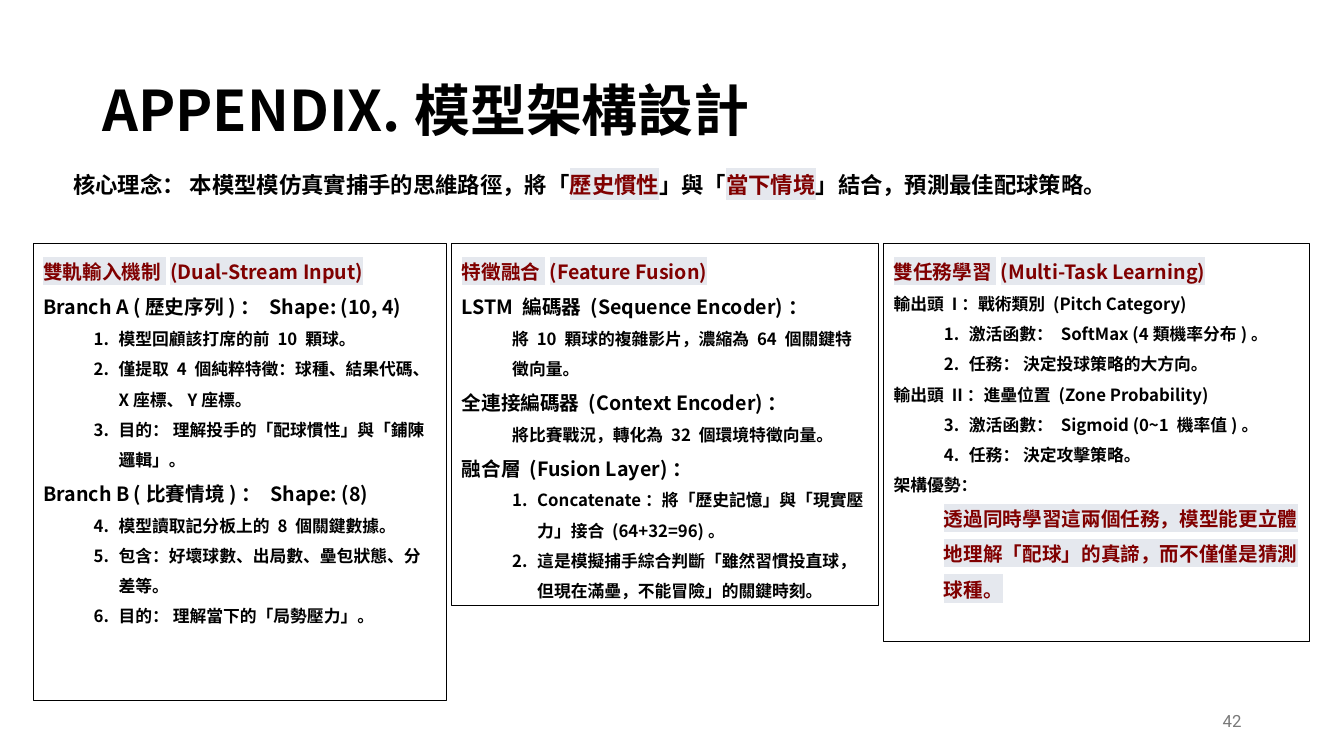
"""Builds the appendix slide on the model architecture."""
from itertools import count
from lxml import etree
from pptx import Presentation, util as u
from pptx.dml import color
from pptx.enum import shapes, text
from pptx.oxml import ns

SANS = "Noto Sans CJK SC"
TITLE = "APPENDIX.模型架構設計"
IDEA = [("core", "核心理念： 本模型模仿真實捕手的思維路徑，將「"), ("mark", "歷史慣性"),
        ("core", "」與「"), ("mark", "當下情境"), ("core", "」結合，預測最佳配球策略。")]
PAGE = "42"
CARDS = [
    (10.41, 11.52, [
        ("head", "雙軌輸入機制 (Dual-Stream Input)"),
        ("sub", "Branch A (歷史序列)： Shape: (10, 4)"),
        ("item", "模型回顧該打席的前 10 顆球。"),
        ("item", "僅提取 4 個純粹特徵：球種、結果代碼、X座標、Y座標。"),
        ("item", "目的： 理解投手的「配球慣性」與「鋪陳邏輯」。"),
        ("sub", "Branch B (比賽情境)： Shape: (8)"),
        ("item", "模型讀取記分板上的 8 個關鍵數據。"),
        ("item", "包含：好壞球數、出局數、壘包狀態、分差等。"),
        ("item", "目的： 理解當下的「局勢壓力」。")]),
    (10.74, 9.14, [
        ("head", "特徵融合 (Feature Fusion)"),
        ("sub", "LSTM 編碼器 (Sequence Encoder)："),
        ("note", "將 10 顆球的複雜影片，濃縮為 64 個關鍵特徵向量。"),
        ("sub", "全連接編碼器 (Context Encoder)："),
        ("note", "將比賽戰況，轉化為 32 個環境特徵向量。"),
        ("sub", "融合層 (Fusion Layer)："),
        ("item", "Concatenate：將「歷史記憶」與「現實壓力」接合 (64+32=96)。"),
        ("item", "這是模擬捕手綜合判斷「雖然習慣投直球，但現在滿壘，不能冒險」的關鍵時刻。")]),
    (10.74, 10.03, [
        ("head", "雙任務學習 (Multi-Task Learning)"),
        ("small", "輸出頭 I：戰術類別 (Pitch Category)"),
        ("item", "激活函數： SoftMax (4類機率分布)。"),
        ("item", "任務： 決定投球策略的大方向。"),
        ("small", "輸出頭 II：進壘位置 (Zone Probability)"),
        ("item", "激活函數： Sigmoid (0~1 機率值)。"),
        ("item", "任務： 決定攻擊策略。"),
        ("small", "架構優勢："),
        ("key", "透過同時學習這兩個任務，模型能更立體地理解「配球」的真諦，而不僅僅是猜測球種。")]),
]
BLACK, RED, GRAY, PALE = "000000", "800000", "797979", "E5E8EE"
LOOKS = {
    "title": (40, BLACK, None), "core": (16, BLACK, None), "mark": (16, RED, PALE),
    "head": (14, RED, PALE), "sub": (14, BLACK, None), "small": (12, BLACK, None),
    "item": (12, BLACK, None), "note": (12, BLACK, None), "key": (14, RED, PALE),
    "page": (12, GRAY, None),
}
DENTS = {"item": (1.9, -0.63), "note": (1.27, 0), "key": (1.27, 0)}
LEFT, TOP, GAP = 0.84, 6.13, 0.14


def rgb(code):
    """Turns a hex string into a colour."""
    return color.RGBColor.from_string(code)


def put(thing, vals):
    """Sets each named value on an object."""
    for name, val in vals.items():
        setattr(thing, name, val)


def add_run(para, kind, words):
    """Adds one run in the look of its kind."""
    size, ink, back = LOOKS[kind]
    face = "Roboto" if kind == "page" else SANS
    run = para.add_run()
    run.text = words
    put(run.font, {"size": u.Pt(size), "bold": kind != "page", "name": face})
    run.font.color.rgb = rgb(ink)
    props = run.font._element
    east = etree.SubElement(props, ns.qn("a:ea"))
    east.set("typeface", face)
    if back:
        glow = etree.Element(ns.qn("a:highlight"))
        etree.SubElement(glow, ns.qn("a:srgbClr")).set("val", back)
        props.find(ns.qn("a:solidFill")).addnext(glow)


def dent(para, kind, start):
    """Indents a paragraph and numbers it when it is an item."""
    left, hang = DENTS[kind]
    para.level = 1
    props = para._p.get_or_add_pPr()
    props.set("marL", str(u.Cm(left)))
    props.set("indent", str(u.Cm(hang)))
    if kind == "item":
        num = etree.SubElement(props, ns.qn("a:buAutoNum"))
        num.set("type", "arabicPeriod")
        num.set("startAt", str(start))


def add_text(slide, box, runs, form, anchor=text.MSO_ANCHOR.TOP):
    """Adds a text box with one paragraph."""
    frame = slide.shapes.add_textbox(*map(u.Cm, box)).text_frame
    put(frame, {"word_wrap": True, "vertical_anchor": anchor})
    para = frame.paragraphs[0]
    put(para, form)
    for kind, words in runs:
        add_run(para, kind, words)


def add_card(slide, left, wide, high, rows):
    """Adds an outlined card with its rows of text."""
    card = slide.shapes.add_shape(shapes.MSO_SHAPE.RECTANGLE,
                                  *map(u.Cm, (left, TOP, wide, high)))
    card.shadow.inherit = False
    card.fill.background()
    card.line.color.rgb = rgb(BLACK)
    card.line.width = u.Pt(0.75)
    frame = card.text_frame
    put(frame, {"word_wrap": True, "vertical_anchor": text.MSO_ANCHOR.TOP})
    nums, start, last = count(1), 1, None
    for spot, (kind, words) in enumerate(rows):
        para = frame.add_paragraph() if spot else frame.paragraphs[0]
        put(para, {"line_spacing": 1.5, "alignment": text.PP_ALIGN.LEFT})
        if kind == "item":
            num = next(nums)
            start = start if last == "item" else num
        if kind in DENTS:
            dent(para, kind, start)
        add_run(para, kind, words)
        last = kind


def main():
    """Builds and saves the slide."""
    deck = Presentation()
    put(deck, {"slide_width": u.Cm(33.87), "slide_height": u.Cm(19.05)})
    slide = deck.slides.add_slide(deck.slide_layouts[6])
    mid = text.MSO_ANCHOR.MIDDLE
    add_text(slide, (2.33, 1.01, 29.21, 3.68), [("title", TITLE)], {"line_spacing": 0.9}, mid)
    add_text(slide, (1.6, 3.86, 31.55, 1.8), IDEA, {"line_spacing": 1.5})
    add_text(slide, (23.92, 17.66, 7.62, 1.01), [("page", PAGE)],
             {"alignment": text.PP_ALIGN.RIGHT}, mid)
    left = LEFT
    for wide, high, rows in CARDS:
        add_card(slide, left, wide, high, rows)
        left += wide + GAP
    deck.save("out.pptx")


if __name__ == "__main__":
    main()
